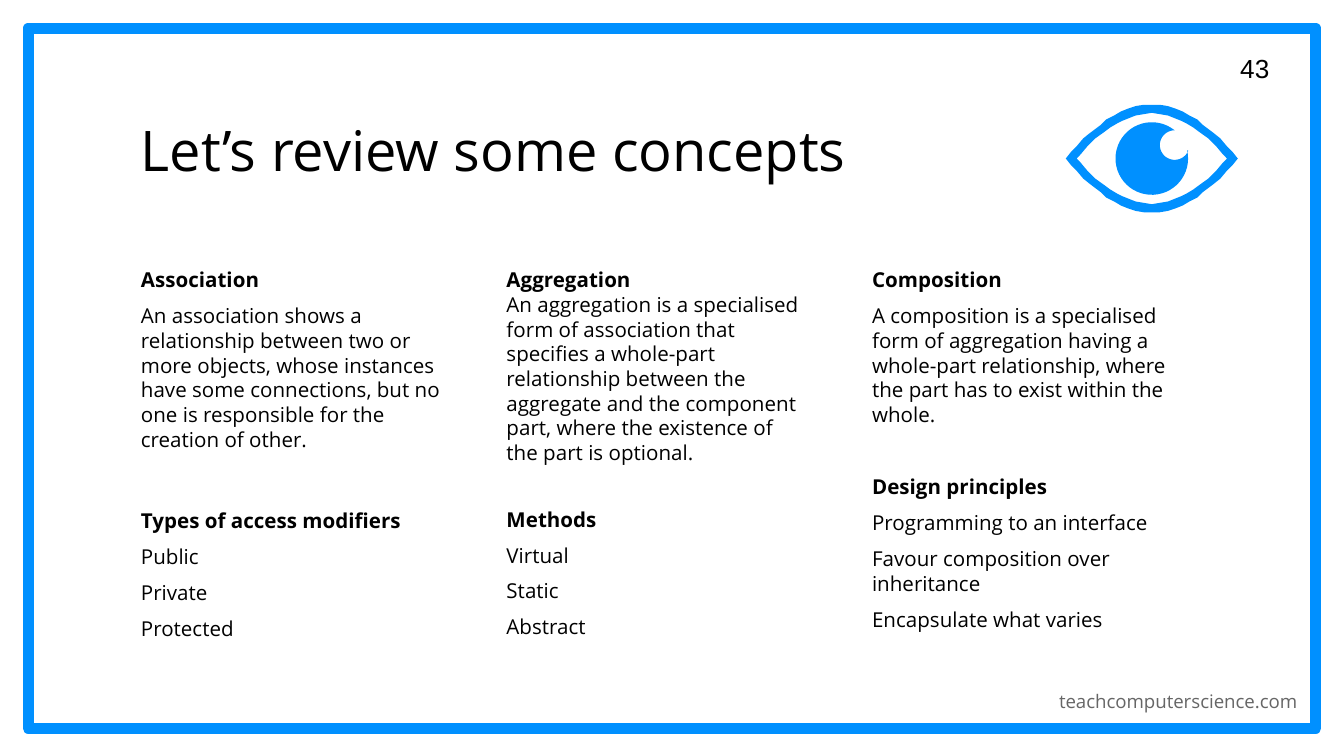
from math import cos, sin, radians
from pptx import Presentation
from pptx.dml.color import RGBColor
from pptx.enum.shapes import MSO_SHAPE as SHAPE
from pptx.enum.text import MSO_ANCHOR as ANCHOR, PP_ALIGN as ALIGN
from pptx.util import Inches, Pt

BLUE = RGBColor(0x00, 0x90, 0xFF)
WHITE = RGBColor(0xFF, 0xFF, 0xFF)
BLACK = RGBColor(0x00, 0x00, 0x00)
GRAY = RGBColor(0x66, 0x66, 0x66)

EYE_X, EYE_Y = 8.57, 1.18
# Upper right quarter of each eyelid curve, as offsets from the eye's centre
OUTER_LID = [(0.64, 0), (0.6, 0.05), (0.56, 0.09), (0.51, 0.15), (0.46, 0.19),
             (0.38, 0.25), (0.34, 0.29), (0.28, 0.32), (0.23, 0.35),
             (0.18, 0.37), (0.12, 0.39), (0.06, 0.4), (0, 0.4)]
INNER_LID = [(0.56, 0), (0.53, 0.03), (0.48, 0.09), (0.42, 0.15), (0.35, 0.2),
             (0.31, 0.23), (0.26, 0.26), (0.22, 0.28), (0.17, 0.3),
             (0.12, 0.32), (0.06, 0.33), (0, 0.34)]


def lens(quarter):
    """Mirror a quarter curve into a closed outline around the eye's centre."""
    top = quarter + [(-x, y) for x, y in reversed(quarter[:-1])]
    bottom = [(x, -y) for x, y in reversed(top[1:-1])]
    return [(EYE_X + x, EYE_Y - y) for x, y in top + bottom]


def arc(cx, cy, radius, start, end, steps):
    angles = [radians(start + (end - start) * i / steps) for i in range(steps + 1)]
    return [(cx + radius * cos(a), cy + radius * sin(a)) for a in angles]


class Deck:
    font = "Open Sans"
    inset = Inches(0.1)
    gap = Pt(6)

    def __init__(self, prs):
        self.s = prs.slides.add_slide(prs.slide_layouts[6])

    def frame(self, x, y, w, h):
        sp = self.s.shapes.add_shape(SHAPE.RECTANGLE, Inches(x), Inches(y), Inches(w), Inches(h))
        sp.shadow.inherit = False
        sp.fill.solid()
        sp.fill.fore_color.rgb = WHITE
        sp.line.color.rgb = BLUE
        sp.line.width = Pt(6)

    def text(self, x, y, w, h, lines, size, color=BLACK, font=None,
             anchor=ANCHOR.TOP, align=ALIGN.LEFT):
        tf = self.s.shapes.add_textbox(Inches(x), Inches(y), Inches(w), Inches(h)).text_frame
        tf.word_wrap = True
        tf.vertical_anchor = anchor
        tf.margin_left = tf.margin_right = tf.margin_top = tf.margin_bottom = self.inset
        tf.text = "\n".join(lines)
        for p in tf.paragraphs:
            p.alignment = align
            for r in p.runs:
                r.font.name = font or self.font
                r.font.size = Pt(size)
                r.font.color.rgb = color
        return tf

    def concept(self, x, y, w, h, heading, lines, spaced=True):
        tf = self.text(x, y, w, h, [heading] + lines, 11)
        tf.paragraphs[0].runs[0].font.bold = True
        if spaced:
            for p in tf.paragraphs[1:]:
                p.space_before = self.gap

    def outline(self, *contours):
        first, *others = [[(Inches(x), Inches(y)) for x, y in c] for c in contours]
        builder = self.s.shapes.build_freeform(*first[0])
        builder.add_line_segments(first[1:], close=True)
        for contour in others:
            builder.move_to(*contour[0])
            builder.add_line_segments(contour[1:], close=True)
        sp = builder.convert_to_shape()
        sp.shadow.inherit = False
        sp.fill.solid()
        sp.fill.fore_color.rgb = BLUE
        sp.line.fill.background()


def main():
    prs = Presentation()
    prs.slide_width = Inches(10)
    prs.slide_height = prs.slide_width * 9 // 16
    deck = Deck(prs)

    # Border, footer, title and page number
    deck.frame(0.21, 0.21, 9.58, 5.21)
    deck.text(7.67, 5.05, 2.08, 0.29, ["teachcomputerscience.com"], 10, GRAY, align=ALIGN.RIGHT)
    deck.text(0.95, 0.53, 5.57, 0.93, ["Let’s review some concepts"], 30, anchor=ANCHOR.BOTTOM)
    deck.text(9.13, 0.29, 0.6, 0.43, ["43"], 14, font="Arial", anchor=ANCHOR.MIDDLE)

    # Three columns of concepts
    left, middle, right = (0.95 + 2.72 * i for i in range(3))
    top, w, h = 1.89, 2.59, 1.54
    deck.concept(left, top, w, h, "Association", [
        "An association shows a relationship between two or more objects, whose instances "
        "have some connections, but no one is responsible for the creation of other."])
    deck.concept(middle, top, 2.39, h, "Aggregation", [
        "An aggregation is a specialised form of association that specifies a whole-part "
        "relationship between the aggregate and the component part, where the existence "
        "of the part is optional."], spaced=False)
    deck.concept(right, top, w, 1.45, "Composition", [
        "A composition is a specialised form of aggregation having a whole-part "
        "relationship, where the part has to exist within the whole."])
    deck.concept(left, 3.68, w, h, "Types of access modifiers", ["Public", "Private", "Protected"])
    deck.concept(middle, 3.67, w, h, "Methods", ["Virtual", "Static", "Abstract"])
    deck.concept(right, 3.43, w, h, "Design principles", [
        "Programming to an interface", "Favour composition over inheritance",
        "Encapsulate what varies"])

    # Eye icon: lids, then the pupil with a round highlight cut out
    deck.outline(lens(OUTER_LID), lens(INNER_LID))
    deck.outline(arc(EYE_X, EYE_Y, 0.27, -52, -373, 48) + arc(8.74, 1.08, 0.11, 23, 270, 30))

    prs.save("out.pptx")


if __name__ == "__main__":
    main()
